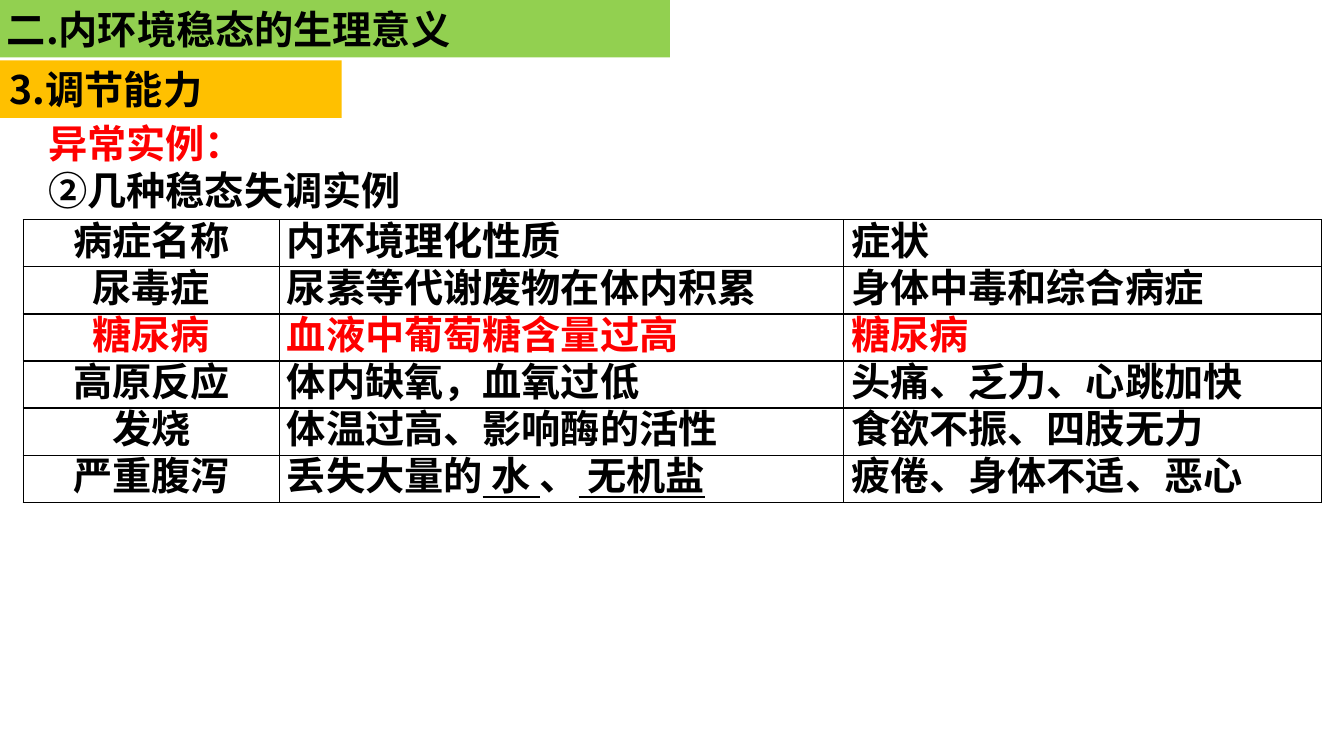
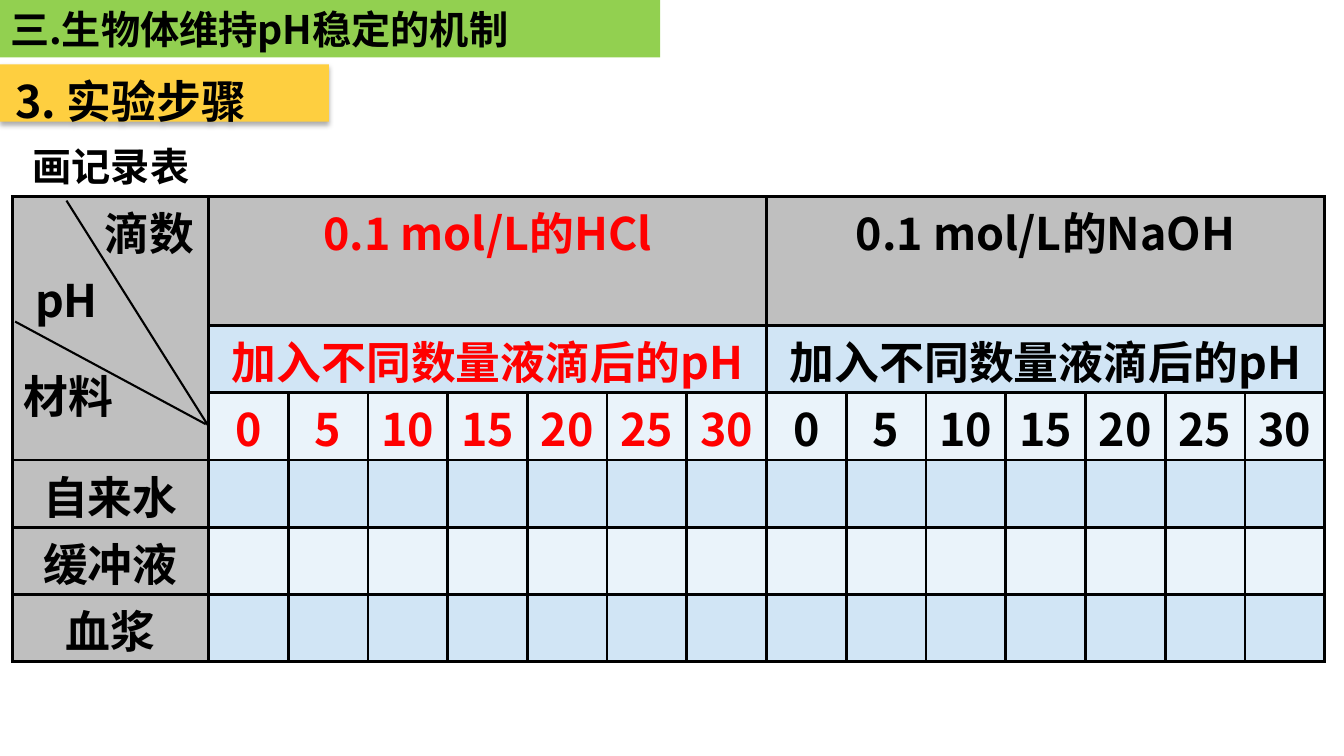
from dataclasses import dataclass

from lxml.etree import SubElement
from pptx import Presentation
from pptx.dml.color import RGBColor
from pptx.enum.shapes import MSO_CONNECTOR as Connector, MSO_SHAPE as Preset
from pptx.enum.text import MSO_ANCHOR as Anchor, MSO_AUTO_SIZE as AutoSize, PP_ALIGN as Align
from pptx.oxml.ns import qn
from pptx.util import Pt

CJK_FONT = "Noto Sans CJK SC"
SERIF_FONT = "Times New Roman"
BLACK, RED = "000000", "FF0000"
GREEN, AMBER, GOLD = "92D050", "FFC000", "FECF40"
GREY, BAND_DARK, BAND_LIGHT = "BFBFBF", "D1E5F5", "EAF3FA"
BODY_SIZE, LARGE_SIZE = 28, 32
BAR_HEIGHT = 41
LINE_FACTOR = 1.2
SIDE_INSET, TOP_INSET = 7.2, 3.6


@dataclass(frozen=True)
class Span:
    """A stretch of text with its own look."""

    text: str
    color: str = BLACK
    underline: bool = False
    font: str = CJK_FONT


@dataclass(frozen=True)
class Box:
    """A rectangle in points."""

    left: float
    top: float
    width: float
    height: float

    def lengths(self) -> tuple:
        """Return the four lengths for python-pptx."""
        return Pt(self.left), Pt(self.top), Pt(self.width), Pt(self.height)


@dataclass(frozen=True)
class Label:
    """Text placed freely on a slide, one tuple of spans per line."""

    box: Box
    lines: tuple
    size: int = BODY_SIZE


@dataclass(frozen=True)
class Section:
    """A coloured bar that names the section of a slide."""

    box: Box
    spans: tuple
    fill: str
    size: int = BODY_SIZE
    side: float = SIDE_INSET
    top: float = TOP_INSET
    shadow: bool = False


@dataclass(frozen=True)
class Grid:
    """The frame of a table: place, columns, rows and rules."""

    left: float
    top: float
    columns: tuple
    rows: tuple
    border: float


def rgb(color: str) -> RGBColor:
    """Turn a hex string into a colour."""
    return RGBColor.from_string(color)


def write_line(paragraph, spans: tuple, size: int, align=Align.LEFT) -> None:
    """Fill a paragraph with bold spans at a fixed line pitch."""
    paragraph.alignment = align
    paragraph.line_spacing = Pt(size * LINE_FACTOR)
    paragraph.space_before = paragraph.space_after = Pt(0)
    for span in spans:
        run = paragraph.add_run()
        run.text = span.text
        font = run.font
        font.size, font.bold, font.name = Pt(size), True, span.font
        font.color.rgb = rgb(span.color)
        if span.underline:
            font.underline = True
        SubElement(font._element, qn("a:ea"), typeface=CJK_FONT)


def write_frame(frame, lines: tuple, size: int, side: float = SIDE_INSET,
                top: float = TOP_INSET) -> None:
    """Write lines into the text frame of a shape."""
    frame.auto_size = AutoSize.NONE
    frame.word_wrap = True
    frame.vertical_anchor = Anchor.TOP
    frame.margin_left, frame.margin_right = Pt(side), Pt(0)
    frame.margin_top, frame.margin_bottom = Pt(top), Pt(0)
    for index, spans in enumerate(lines):
        paragraph = frame.add_paragraph() if index else frame.paragraphs[0]
        write_line(paragraph, spans, size)


def add_titled_slide(deck, title: str, width: float, side: float = SIDE_INSET):
    """Add a title-only slide with its green title bar."""
    slide = deck.slides.add_slide(deck.slide_layouts[5])
    bar = slide.shapes.title
    bar.left, bar.top, bar.width, bar.height = Box(0, 0, width, BAR_HEIGHT).lengths()
    bar.fill.solid()
    bar.fill.fore_color.rgb = rgb(GREEN)
    write_frame(bar.text_frame, ((Span(title),),), BODY_SIZE, side)
    return slide


def add_section(slide, section: Section) -> None:
    """Draw the section bar with its text."""
    bar = slide.shapes.add_shape(Preset.RECTANGLE, *section.box.lengths())
    bar.shadow.inherit = False
    bar.fill.solid()
    bar.fill.fore_color.rgb = rgb(section.fill)
    bar.line.fill.background()
    if section.shadow:
        effects = bar._element.spPr.find(qn("a:effectLst"))
        outer = SubElement(effects, qn("a:outerShdw"), blurRad=str(Pt(3.5)), dist=str(Pt(2.2)),
                           dir="5400000", algn="t", rotWithShape="0")
        shade = SubElement(outer, qn("a:srgbClr"), val=BLACK)
        SubElement(shade, qn("a:alpha"), val="32000")
    write_frame(bar.text_frame, (section.spans,), section.size, section.side, section.top)


def add_label(slide, label: Label) -> None:
    """Draw a free text box."""
    box = slide.shapes.add_textbox(*label.box.lengths())
    write_frame(box.text_frame, label.lines, label.size)


def add_rule(slide, start: tuple, end: tuple) -> None:
    """Draw a thin black line between two points."""
    rule = slide.shapes.add_connector(Connector.STRAIGHT, *(Pt(value) for value in start + end))
    rule.line.color.rgb = rgb(BLACK)
    rule.line.width = Pt(1.5)
    SubElement(rule._element.spPr, qn("a:effectLst"))


def add_grid(slide, grid: Grid):
    """Add an unstyled table whose cells all have black borders."""
    box = Box(grid.left, grid.top, sum(grid.columns), sum(grid.rows))
    table = slide.shapes.add_table(len(grid.rows), len(grid.columns), *box.lengths()).table
    table.first_row = table.horz_banding = False
    for column, width in zip(table.columns, grid.columns):
        column.width = Pt(width)
    for row, height in zip(table.rows, grid.rows):
        row.height = Pt(height)
    for cell in table.iter_cells():
        properties = cell._tc.get_or_add_tcPr()
        for side in ("lnL", "lnR", "lnT", "lnB"):
            edge = SubElement(properties, qn(f"a:{side}"), w=str(Pt(grid.border)))
            SubElement(SubElement(edge, qn("a:solidFill")), qn("a:srgbClr"), val=BLACK)
        cell.fill.background()
    return table


def write_cell(cell, spans: tuple, size: int, align, side: float, top: float) -> None:
    """Write one line of text into a table cell."""
    cell.margin_left = cell.margin_right = Pt(side)
    cell.margin_top, cell.margin_bottom = Pt(top), Pt(0)
    write_line(cell.text_frame.paragraphs[0], spans, size, align)


def build_disorders(deck) -> None:
    """Build the slide on disorders of the internal environment."""
    slide = add_titled_slide(deck, "二.内环境稳态的生理意义", 478.6, 5)
    add_section(slide, Section(Box(0, 43.2, 244, BAR_HEIGHT),
                               (Span("3."), Span("调节能力", font=SERIF_FONT)), AMBER))
    add_label(slide, Label(Box(27.5, 81.4, 400, 75),
                           ((Span("异常实例：", RED),), (Span("②几种稳态失调实例"),))))
    disorders = (
        ("病症名称", "内环境理化性质", "症状"),
        ("尿毒症", "尿素等代谢废物在体内积累", "身体中毒和综合病症"),
        ("糖尿病", "血液中葡萄糖含量过高", "糖尿病"),
        ("高原反应", "体内缺氧，血氧过低", "头痛、乏力、心跳加快"),
        ("发烧", "体温过高、影响酶的活性", "食欲不振、四肢无力"),
        ("严重腹泻", (Span("丢失大量的"), Span(" 水 ", underline=True), Span("、"),
                  Span(" 无机盐", underline=True)), "疲倦、身体不适、恶心"),
    )
    table = add_grid(slide, Grid(16.6, 157, (183, 403, 341.5), (33.6,) * len(disorders), 1))
    for row, disorder in enumerate(disorders):
        color = RED if disorder[0] == "糖尿病" else BLACK
        for column, entry in enumerate(disorder):
            spans = (Span(entry, color),) if isinstance(entry, str) else entry
            align = Align.LEFT if column else Align.CENTER
            write_cell(table.cell(row, column), spans, BODY_SIZE, align, 5.4, 0)


def build_record_sheet(deck) -> None:
    """Build the slide with the record sheet of the pH experiment."""
    slide = add_titled_slide(deck, "三.生物体维持pH稳定的机制", 471.6)
    add_section(slide, Section(Box(0, 46, 235, BAR_HEIGHT), (Span("3. 实验步骤"),), GOLD,
                               LARGE_SIZE, 11, 6.6, True))
    add_label(slide, Label(Box(16.3, 98, 400, 42), ((Span("画记录表"),),)))

    drops = (0, 5, 10, 15, 20, 25, 30)
    reagents = (("HCl", RED), ("NaOH", BLACK))
    materials = ("自来水", "缓冲液", "血浆")
    header_rows = 3
    columns = (140.2,) + (56.96,) * (len(drops) * len(reagents))
    rows = (92,) + (48,) * (header_rows - 1 + len(materials))
    table = add_grid(slide, Grid(8.7, 140.6, columns, rows, 2.25))

    for row in range(len(rows)):
        band = BAND_DARK if row % 2 else BAND_LIGHT
        for column in range(len(columns)):
            fill = table.cell(row, column).fill
            fill.solid()
            fill.fore_color.rgb = rgb(GREY if row == 0 or column == 0 else band)

    def write(row: int, column: int, text: str, color: str = BLACK) -> None:
        """Write a centred entry of the record sheet."""
        write_cell(table.cell(row, column), (Span(text, color),), LARGE_SIZE, Align.CENTER,
                   3.6, 9.5)

    table.cell(0, 0).merge(table.cell(header_rows - 1, 0))
    for index, (reagent, color) in enumerate(reagents):
        first = 1 + index * len(drops)
        for row, heading in enumerate((f"0.1 mol/L的{reagent}", "加入不同数量液滴后的pH")):
            table.cell(row, first).merge(table.cell(row, first + len(drops) - 1))
            write(row, first, heading, color)
        for offset, count in enumerate(drops):
            write(header_rows - 1, first + offset, str(count), color)
    for row, material in enumerate(materials, header_rows):
        write(row, 0, material)

    add_rule(slide, (47.5, 143.3), (149, 304.5))
    add_rule(slide, (10.8, 229.7), (147, 303))
    for text, left, top in (("滴数", 67.7, 143.2), ("pH", 18, 191.6), ("材料", 10, 259.8)):
        add_label(slide, Label(Box(left, top, 79, 46), ((Span(text),),), LARGE_SIZE))


def main() -> None:
    """Build and save the deck."""
    deck = Presentation()
    deck.slide_width, deck.slide_height = Pt(960), Pt(540)
    build_disorders(deck)
    build_record_sheet(deck)
    deck.save("out.pptx")


if __name__ == "__main__":
    main()
